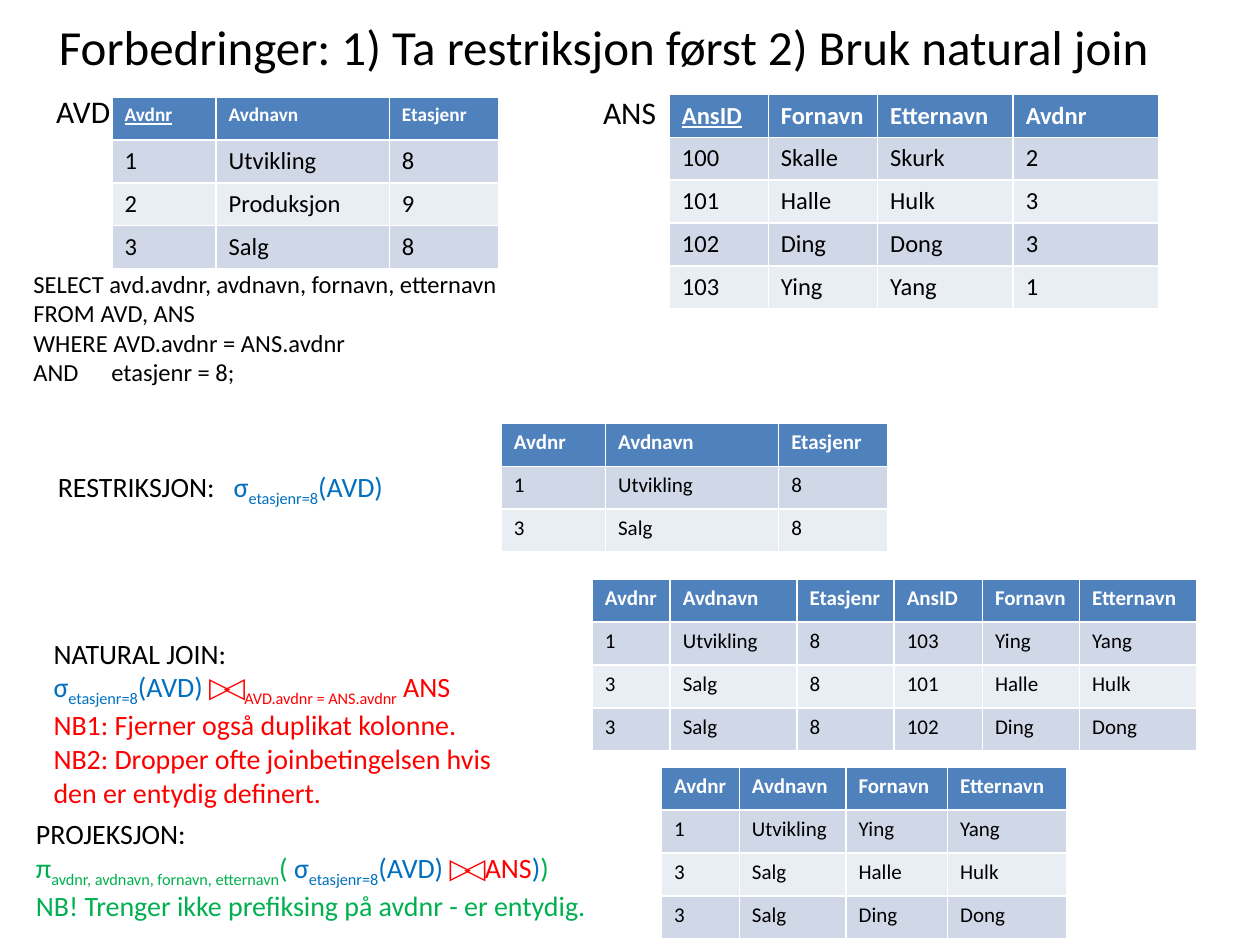
from dataclasses import dataclass
from typing import Optional

import pptx
import pptx.dml.color
import pptx.enum.text
import pptx.oxml.ns
import pptx.util
from lxml import etree

Pt = pptx.util.Pt
RGBColor = pptx.dml.color.RGBColor

FONT = "Calibri"
BLACK = RGBColor(0x00, 0x00, 0x00)
WHITE = RGBColor(0xFF, 0xFF, 0xFF)
BLUE = RGBColor(0x00, 0x70, 0xC0)
RED = RGBColor(0xFF, 0x00, 0x00)
GREEN = RGBColor(0x00, 0xB0, 0x50)
HEADER = RGBColor(0x4F, 0x81, 0xBD)
BAND_DARK = RGBColor(0xD0, 0xD8, 0xE8)
BAND_LIGHT = RGBColor(0xE9, 0xED, 0xF4)
ROW_HEIGHT = 24.5


@dataclass(frozen=True)
class Part:
    """A stretch of text in one colour, optionally lowered or tightened."""
    text: str
    color: RGBColor = BLACK
    subscript: bool = False
    spacing: float = 0


@dataclass(frozen=True)
class Note:
    """A text box: place, size, lines of parts and an optional tab stop."""
    left: float
    top: float
    width: float
    height: float
    size: float
    lines: list[list[Part]]
    tab: Optional[float] = None


@dataclass(frozen=True)
class Relation:
    """A database relation; each row is a string of words."""
    left: float
    top: float
    widths: list[float]
    rows: list[str]
    header_size: float = 12
    body_size: float = 12
    underline_key: bool = False


RESTRICTION = [Part("σ", BLUE), Part("etasjenr=8", BLUE, subscript=True), Part("(AVD)", BLUE)]
JOIN = [Part(" ", BLUE), Part("▷◁ ", RED, spacing=-4)]

NOTES = [
    Note(337.5, 49.5, 46, 29, 18, [[Part("ANS")]]),
    Note(25, 49, 91, 29, 18, [[Part("AVD")]]),
    Note(26, 264.5, 226, 26.5, 16, [[Part("RESTRIKSJON:\t"), *RESTRICTION]], tab=100.5),
    Note(12, 150, 287, 75, 14, [
        [Part("SELECT avd.avdnr, avdnavn, fornavn, etternavn")],
        [Part("FROM AVD, ANS")],
        [Part("WHERE AVD.avdnr = ANS.avdnr")],
        [Part("AND\tetasjenr = 8;")],
    ], tab=44.5),
    Note(13.5, 463, 366, 65.5, 16, [
        [Part("PROJEKSJON:")],
        [Part("π", GREEN), Part("avdnr, avdnavn, fornavn, etternavn", GREEN, subscript=True),
         Part("( ", GREEN), *RESTRICTION, *JOIN, Part("ANS", RED), Part(")", BLUE),
         Part(")", GREEN)],
        [Part("NB! Trenger ikke prefiksing på avdnr - er entydig.", GREEN)],
    ]),
    Note(23.5, 360, 284, 104, 16, [
        [Part("NATURAL JOIN:")],
        [*RESTRICTION, *JOIN, Part("AVD.avdnr = ANS.avdnr", RED, subscript=True),
         Part(" ANS", RED)],
        [Part("NB1: Fjerner også duplikat kolonne.", RED)],
        [Part("NB2: Dropper ofte joinbetingelsen hvis den er entydig definert.", RED)],
    ]),
]

AVD_WIDTHS = [59.5, 99, 62.5]
RELATIONS = [
    Relation(382.5, 54, [56.5, 62.5, 77.5, 83],
             ["AnsID Fornavn Etternavn Avdnr", "100 Skalle Skurk 2", "101 Halle Hulk 3",
              "102 Ding Dong 3", "103 Ying Yang 1"], 14, 14, underline_key=True),
    Relation(64, 55.5, AVD_WIDTHS,
             ["Avdnr Avdnavn Etasjenr", "1 Utvikling 8", "2 Produksjon 9", "3 Salg 8"],
             11, 14, underline_key=True),
    Relation(338.5, 331, [44.5, 72.5, 55.5, 50.5, 55.5, 67],
             ["Avdnr Avdnavn Etasjenr AnsID Fornavn Etternavn", "1 Utvikling 8 103 Ying Yang",
              "3 Salg 8 101 Halle Hulk", "3 Salg 8 102 Ding Dong"]),
    Relation(286.5, 242, AVD_WIDTHS,
             ["Avdnr Avdnavn Etasjenr", "1 Utvikling 8", "3 Salg 8"]),
    Relation(378, 438.5, [44.5, 61, 58, 68],
             ["Avdnr Avdnavn Fornavn Etternavn", "1 Utvikling Ying Yang",
              "3 Salg Halle Hulk", "3 Salg Ding Dong"]),
]


def set_font(font, size: float, color: Optional[RGBColor] = None) -> None:
    """Give a font the slide's typeface, a size and, if named, a colour."""
    font.name = FONT
    font.size = Pt(size)
    if color is not None:
        font.color.rgb = color


def add_tab_stop(paragraph, position: float) -> None:
    """Place one left tab stop in a paragraph that has no font yet."""
    qn = pptx.oxml.ns.qn
    stops = etree.SubElement(paragraph._p.get_or_add_pPr(), qn("a:tabLst"))
    etree.SubElement(stops, qn("a:tab"), pos=str(int(Pt(position))), algn="l")


def add_note(slide, note: Note) -> None:
    """Draw a text box with one paragraph a line."""
    box = slide.shapes.add_textbox(Pt(note.left), Pt(note.top), Pt(note.width), Pt(note.height))
    frame = box.text_frame
    frame.word_wrap = True
    for index, line in enumerate(note.lines):
        paragraph = frame.add_paragraph() if index else frame.paragraphs[0]
        if note.tab is not None and any("\t" in part.text for part in line):
            add_tab_stop(paragraph, note.tab)
        set_font(paragraph.font, note.size)
        for part in line:
            run = paragraph.add_run()
            run.text = part.text
            run.font.color.rgb = part.color
            properties = run._r.get_or_add_rPr()
            if part.subscript:
                properties.set("baseline", "-25000")
            if part.spacing:
                properties.set("spc", str(round(part.spacing * 100)))


def add_relation(slide, relation: Relation) -> None:
    """Draw a relation as a table with a header and banded rows."""
    rows = [row.split() for row in relation.rows]
    table = slide.shapes.add_table(
        len(rows), len(relation.widths), Pt(relation.left), Pt(relation.top),
        Pt(sum(relation.widths)), Pt(ROW_HEIGHT * len(rows))).table
    for column, width in zip(table.columns, relation.widths):
        column.width = Pt(width)
    for r, row in enumerate(rows):
        table.rows[r].height = Pt(ROW_HEIGHT)
        is_header = r == 0
        for c, value in enumerate(row):
            cell = table.cell(r, c)
            cell.text = value
            cell.fill.solid()
            cell.fill.fore_color.rgb = (
                HEADER if is_header else BAND_DARK if r % 2 else BAND_LIGHT)
            font = cell.text_frame.paragraphs[0].font
            set_font(font, relation.header_size if is_header else relation.body_size,
                     WHITE if is_header else BLACK)
            font.bold = is_header
            font.underline = is_header and c == 0 and relation.underline_key


def add_title(slide, text: str) -> None:
    """Fill and place the title placeholder."""
    title = slide.shapes.title
    title.left, title.top, title.width, title.height = Pt(25), Pt(6.5), Pt(640), Pt(39.5)
    title.text_frame.text = text
    title.text_frame.vertical_anchor = pptx.enum.text.MSO_ANCHOR.MIDDLE
    paragraph = title.text_frame.paragraphs[0]
    paragraph.alignment = pptx.enum.text.PP_ALIGN.CENTER
    set_font(paragraph.font, 28, BLACK)


def main() -> None:
    """Build and save the slide."""
    deck = pptx.Presentation()
    deck.slide_width, deck.slide_height = Pt(720), Pt(540)
    slide = deck.slides.add_slide(deck.slide_layouts[5])
    add_title(slide, "Forbedringer: 1) Ta restriksjon først 2) Bruk natural join")
    for relation in RELATIONS:
        add_relation(slide, relation)
    for note in NOTES:
        add_note(slide, note)
    deck.save("out.pptx")


main()
